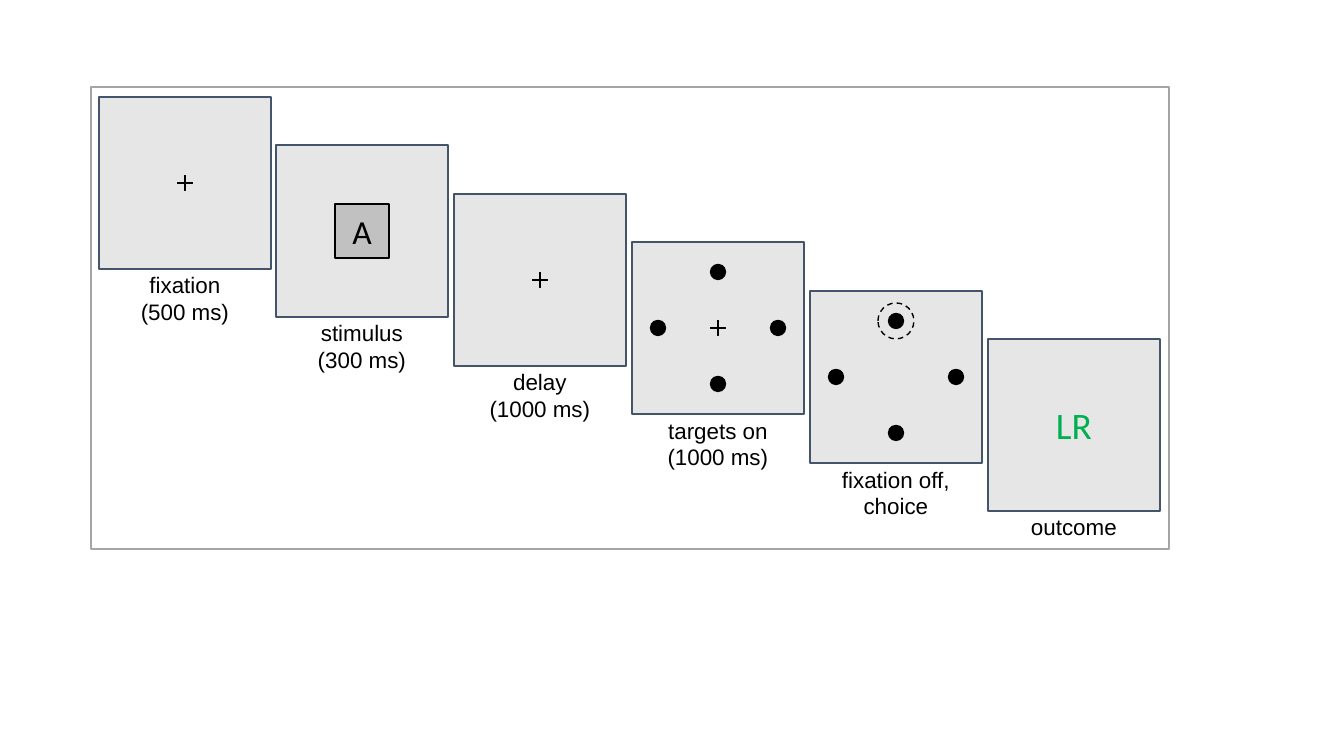
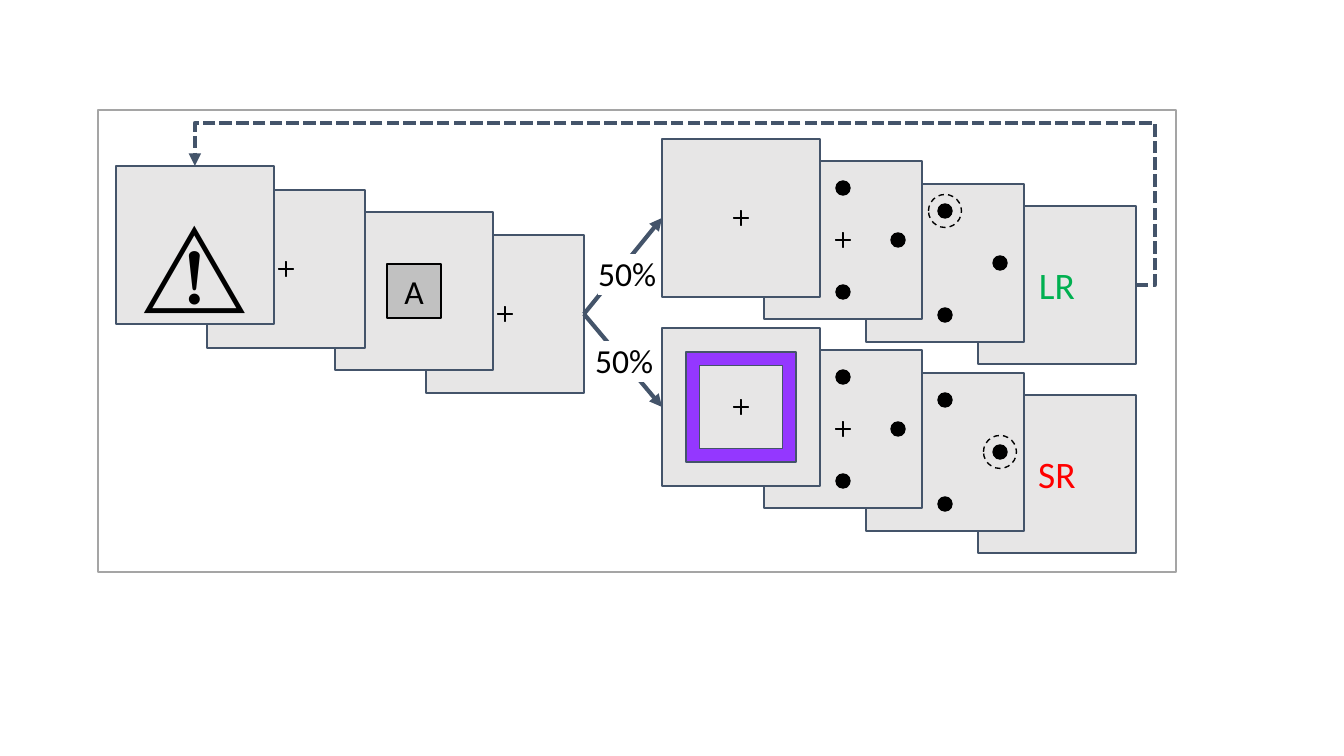
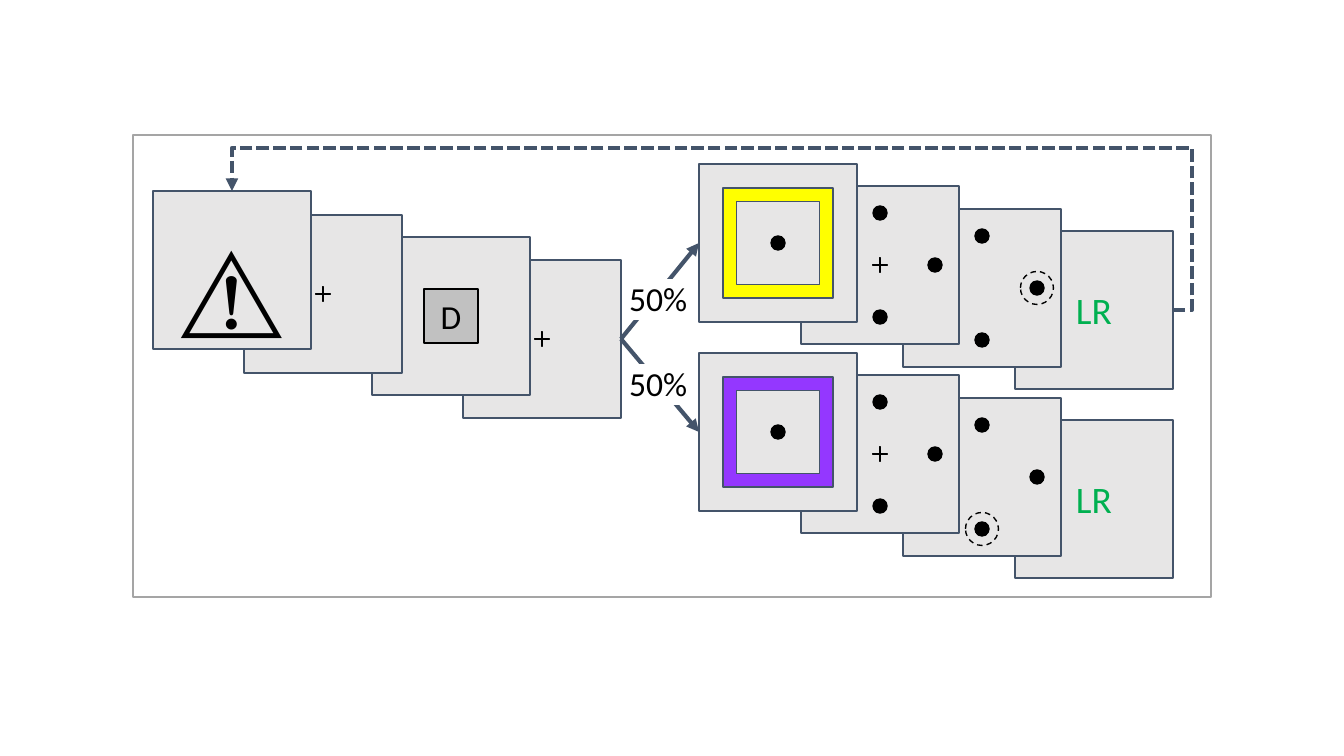
from lxml.etree import SubElement
from pptx import Presentation
from pptx.dml.color import RGBColor
from pptx.enum.dml import MSO_LINE
from pptx.enum.shapes import MSO_CONNECTOR, MSO_SHAPE
from pptx.enum.text import MSO_ANCHOR, MSO_AUTO_SIZE, PP_ALIGN
from pptx.oxml.ns import qn
from pptx.util import Emu, Pt

EMU_PER_PX = 914400 / 134.4
BLACK, WHITE = "000000", "FFFFFF"
SCREEN_FILL, TILE_FILL = "E7E6E6", "C1C1C1"
SLATE, BORDER = "44546A", "A5A5A5"
GREEN, RED, PURPLE, YELLOW = "00B050", "FF0000", "9437FF", "FFFF00"
LARGE, SMALL = 172, 158
FRAME_SIZE = (1078, 462)
INSET = 13
TOP, LEFT, RIGHT = 0, 1, 3
BRANCH_DROP = 189


def px(length):
    return Emu(round(length * EMU_PER_PX))


def color(hex_code):
    return RGBColor.from_string(hex_code)


def add_outlined(slide, preset, left, top, width, height, fill, line):
    shape = slide.shapes.add_shape(preset, px(left), px(top), px(width), px(height))
    shape.shadow.inherit = False
    if fill:
        shape.fill.solid()
        shape.fill.fore_color.rgb = color(fill)
    else:
        shape.fill.background()
    shape.line.color.rgb = color(line)
    shape.line.width = Pt(0.75)
    return shape


def add_centred(slide, preset, centre, size, fill, line):
    x, y = centre
    return add_outlined(slide, preset, x - size / 2, y - size / 2, size, size, fill, line)


def write(shape, lines, size, ink=BLACK, font="Calibri", align=PP_ALIGN.CENTER, wrap=False):
    frame = shape.text_frame
    frame.word_wrap = wrap
    frame.text = "\n".join(lines)
    for paragraph in frame.paragraphs:
        paragraph.alignment = align
        paragraph.font.size = Pt(size)
        paragraph.font.name = font
        paragraph.font.color.rgb = color(ink)
    return frame


def write_on_screen(screen, text, size, ink, anchor, bottom):
    frame = write(screen, [text], size, ink, wrap=True)
    frame.vertical_anchor = anchor
    frame.margin_left = frame.margin_right = frame.margin_top = px(INSET)
    frame.margin_bottom = px(bottom)


def add_text(slide, left, top, width, height, lines, size, **style):
    box = slide.shapes.add_textbox(px(left), px(top), px(width), px(height))
    write(box, lines, size, **style).auto_size = MSO_AUTO_SIZE.SHAPE_TO_FIT_TEXT
    return box


def add_border(slide, left, top):
    add_outlined(slide, MSO_SHAPE.RECTANGLE, left, top, *FRAME_SIZE, None, BORDER)


def add_screen(slide, centre, size):
    return add_centred(slide, MSO_SHAPE.RECTANGLE, centre, size, SCREEN_FILL, SLATE)


def add_cross(slide, centre, size):
    """Fixation cross scaled to a screen of the given size."""
    cross = add_centred(slide, MSO_SHAPE.CROSS, centre, round(size * 0.088), BLACK, BLACK)
    cross.adjustments[0] = 0.452


def add_dot(slide, centre, size):
    add_centred(slide, MSO_SHAPE.OVAL, centre, round(size * 0.088), BLACK, BLACK)


def add_targets(slide, centre, size, sides, chosen=None):
    """Target dots on the named sides, with a dashed ring around the chosen one."""
    x, y = centre
    across, down = round(size * 0.35), round(size * 0.327)
    spots = {"up": (x, y - down), "down": (x, y + down),
             "right": (x + across, y), "left": (x - across, y)}
    for side in sides:
        add_dot(slide, spots[side], size)
    if chosen:
        ring = add_centred(slide, MSO_SHAPE.OVAL, spots[chosen],
                           round(size * 0.212), None, BLACK)
        ring.line.dash_style = MSO_LINE.DASH


def add_stimulus(slide, centre, letter):
    tile = add_centred(slide, MSO_SHAPE.RECTANGLE, centre, 54, TILE_FILL, BLACK)
    write(tile, [letter], 18).vertical_anchor = MSO_ANCHOR.MIDDLE


def add_outcome(slide, centre, size, reward):
    screen = add_screen(slide, centre, size)
    ink = GREEN if reward == "LR" else RED
    write_on_screen(screen, reward, 20, ink, MSO_ANCHOR.MIDDLE, INSET)


def add_arrow(slide, kind, start, end, dash=None):
    arrow = slide.shapes.add_connector(kind, *map(px, start + end))
    arrow.line.color.rgb = color(SLATE)
    arrow.line.width = Pt(2.25)
    if dash:
        arrow.line.dash_style = dash
    properties = arrow._element.spPr
    SubElement(properties.find(qn("a:ln")), qn("a:tailEnd"), type="triangle")
    SubElement(properties, qn("a:effectLst"))
    return arrow


def add_return_arrow(slide, start, end):
    arrow = add_arrow(slide, MSO_CONNECTOR.ELBOW, start, end, MSO_LINE.SQUARE_DOT)
    geometry = arrow._element.spPr.find(qn("a:prstGeom"))
    geometry.set("prst", "bentConnector4")
    guides = geometry.find(qn("a:avLst"))
    if guides is None:
        guides = SubElement(geometry, qn("a:avLst"))
    for name, value in (("adj1", -2000), ("adj2", 136200)):
        SubElement(guides, qn("a:gd"), name=name, fmla=f"val {value}")


def add_chance(slide, left, top):
    box = add_text(slide, left, top, 86, 54, ["50%"], 18, align=PP_ALIGN.LEFT)
    run_properties = box.text_frame.paragraphs[0].runs[0]._r.get_or_add_rPr()
    highlight = SubElement(run_properties, qn("a:highlight"))
    SubElement(highlight, qn("a:srgbClr"), val=WHITE)


def add_branch(slide, origin, halo, add_mark, chosen, reward):
    """Four overlapping screens, last one at the back; returns the front one."""
    x, y = origin
    delay, targets, choice, outcome = [
        (x + dx, y + dy) for dx, dy in ((0, 0), (102, 22), (204, 45), (316, 67))]
    sides = ("up", "down", "right")
    add_outcome(slide, outcome, SMALL, reward)
    add_screen(slide, choice, SMALL)
    add_targets(slide, choice, SMALL, sides, chosen)
    add_screen(slide, targets, SMALL)
    add_targets(slide, targets, SMALL, sides)
    add_cross(slide, targets, SMALL)
    front = add_screen(slide, delay, SMALL)
    add_mark(slide, delay, SMALL)
    if halo:
        add_centred(slide, MSO_SHAPE.FRAME, delay, 110, halo, SLATE)
    return front


def build_trial(slide):
    add_border(slide, 91, 87)
    captions = (["fixation", "(500 ms)"], ["stimulus", "(300 ms)"],
                ["delay", "(1000 ms)"], ["targets on", "(1000 ms)"],
                ["fixation off,", "choice"], ["outcome"])
    sides = ("up", "down", "right", "left")
    for step, caption in enumerate(captions):
        centre = x, y = 185 + 889 * step // 5, 183 + 97 * step // 2
        if caption[0] == "outcome":
            add_outcome(slide, centre, LARGE, "LR")
        else:
            add_screen(slide, centre, LARGE)
        if caption[0] in ("fixation", "delay", "targets on"):
            add_cross(slide, centre, LARGE)
        if caption[0] == "stimulus":
            add_stimulus(slide, centre, "A")
        if caption[0] == "targets on":
            add_targets(slide, centre, LARGE, sides)
        if caption[0] == "fixation off,":
            add_targets(slide, centre, LARGE, sides, "up")
        height = 74 if len(caption) == 2 else 44
        add_text(slide, x - 70, y + 82, 140, height, caption, 12, font="Arial")


def build_warning_task(slide, shift, border, letter, branches, chances):
    def at(x, y):
        return x + shift[0], y + shift[1]

    add_border(slide, *border)
    upper, lower = [
        add_branch(slide, at(741, 218 + BRANCH_DROP * row), *branch)
        for row, branch in enumerate(branches)]

    warning, fixation, stimulus, delay = (
        at(195, 245), at(286, 269), at(414, 291), at(505, 314))
    delay_screen = add_screen(slide, delay, SMALL)
    add_cross(slide, delay, SMALL)
    add_screen(slide, stimulus, SMALL)
    add_stimulus(slide, stimulus, letter)
    add_screen(slide, fixation, SMALL)
    add_cross(slide, fixation, SMALL)
    warning_screen = add_screen(slide, warning, SMALL)
    write_on_screen(warning_screen, "⚠️", 55, BLACK, MSO_ANCHOR.BOTTOM, 0)

    for branch_screen, y in ((upper, 218), (lower, 218 + BRANCH_DROP)):
        arrow = add_arrow(slide, MSO_CONNECTOR.STRAIGHT, at(584, 314), at(662, y))
        arrow.begin_connect(delay_screen, RIGHT)
        arrow.end_connect(branch_screen, LEFT)
    add_return_arrow(slide, at(1136, 285), at(195, 166))
    for chance in chances:
        add_chance(slide, *chance)


def main():
    deck = Presentation()
    deck.slide_width, deck.slide_height = px(1344), px(756)
    trial, cross_task, dot_task = [
        deck.slides.add_slide(deck.slide_layouts[6]) for _ in range(3)]
    build_trial(trial)
    build_warning_task(
        cross_task, (0, 0), (98, 110), "A",
        ((None, add_cross, "up", "LR"), (PURPLE, add_cross, "right", "SR")),
        ((585, 246), (582, 333)))
    build_warning_task(
        dot_task, (37, 25), (133, 135), "D",
        ((YELLOW, add_dot, "right", "LR"), (PURPLE, add_dot, "down", "LR")),
        ((616, 271), (616, 356)))
    deck.save("out.pptx")


if __name__ == "__main__":
    main()
